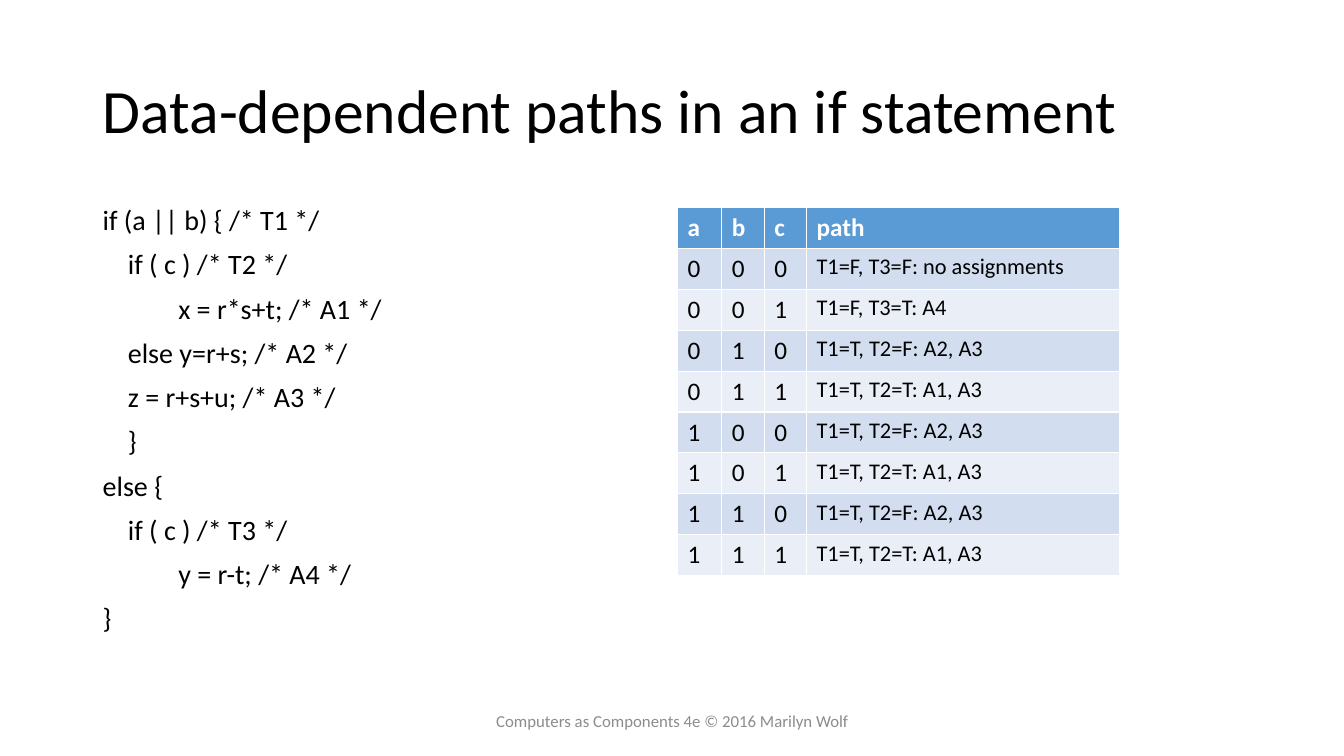
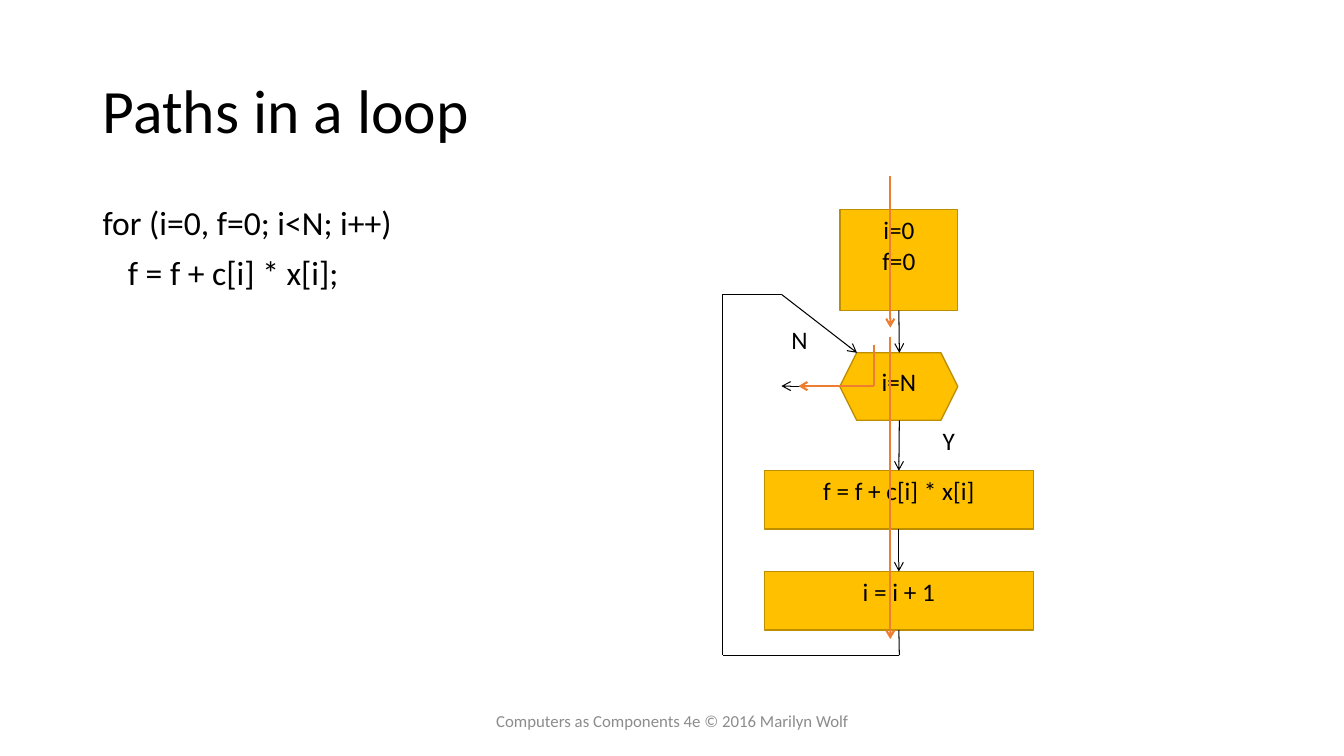
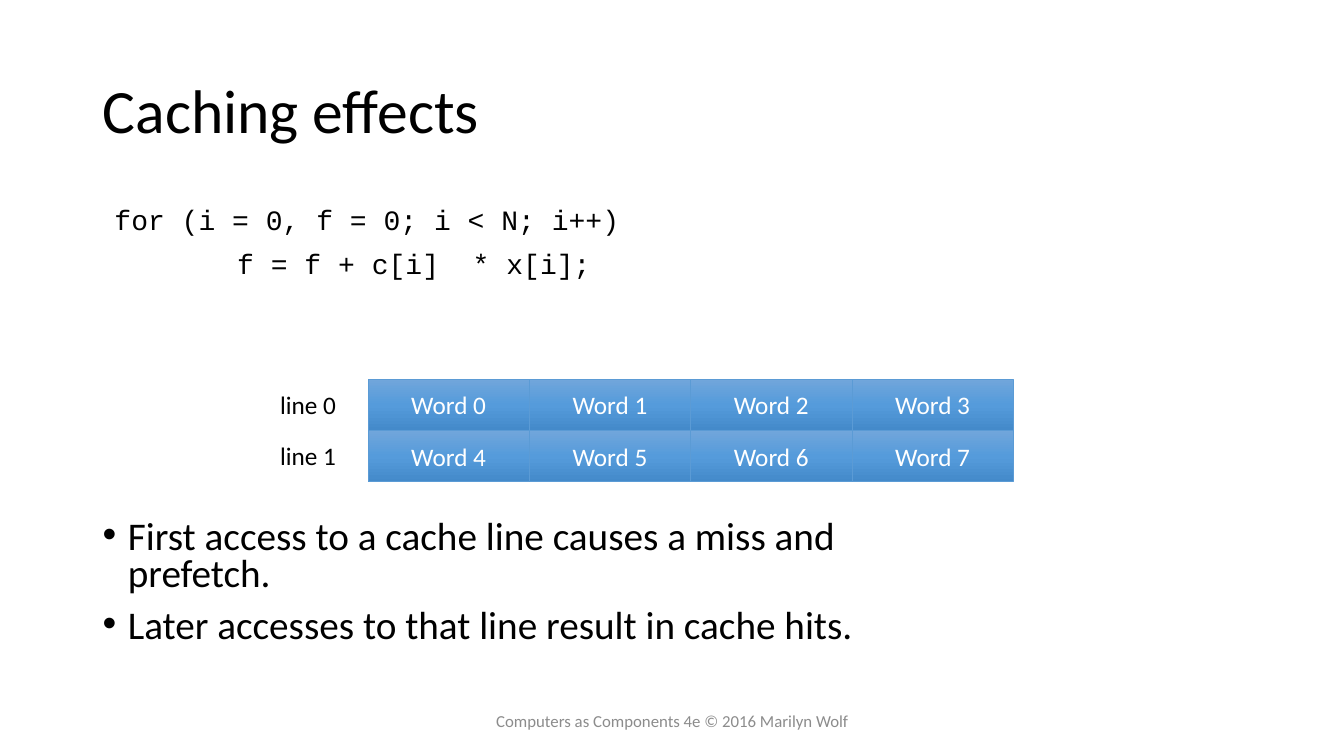
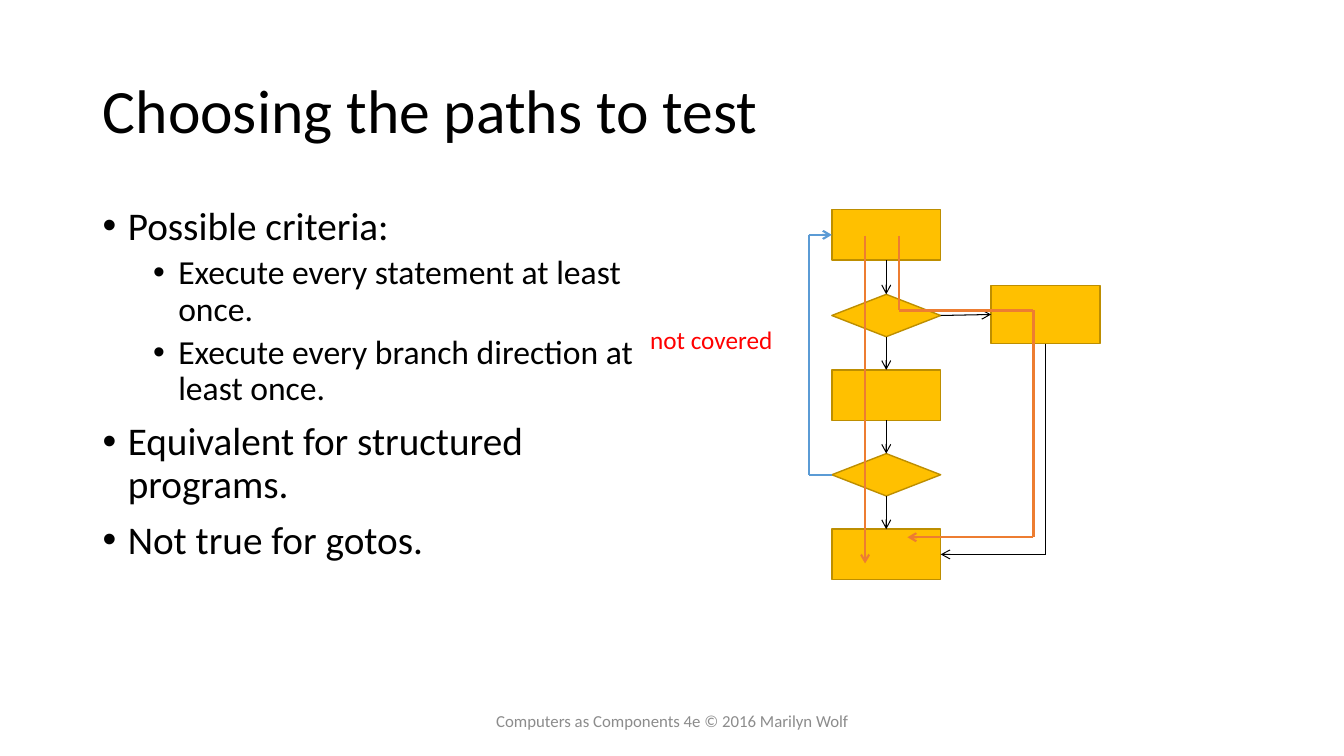
from collections import namedtuple
from copy import deepcopy
from dataclasses import dataclass

from lxml.etree import SubElement
from pptx import Presentation
from pptx.dml.color import RGBColor
from pptx.enum.shapes import MSO_CONNECTOR, MSO_SHAPE
from pptx.enum.text import MSO_ANCHOR, MSO_AUTO_SIZE, PP_ALIGN
from pptx.oxml.ns import qn
from pptx.util import Inches, Pt


@dataclass(frozen=True)
class Theme:
    font: str = "Calibri"
    code_font: str = "Courier New"
    black: str = "000000"
    white: str = "FFFFFF"
    grey: str = "8C8C8C"
    red: str = "FF0000"
    blue: str = "5B9BD5"
    orange: str = "ED7D31"
    box_fill: str = "FFC000"
    box_line: str = "BD8E00"
    bands: tuple = ("EAEFF7", "D2DEEF")
    word_gradient: tuple = ((0, "71A6DB"), (0.5, "559BDB"), (1, "448ACA"))
    title_size: int = 44
    bullet_sizes: tuple = (28, 24)
    loop_code_size: int = 24
    code_size: int = 20
    code_lead_size: int = 14
    label_size: int = 18
    path_size: int = 16
    footer_size: int = 12
    flow_width: float = 0.75
    path_width: float = 1.5


THEME = Theme()
FOOTER = "Computers as Components 4e © 2016 Marilyn Wolf"
BODY_AREA = (0.92, 2, 5.67, 4.76)
TOP, LEFT, BOTTOM, RIGHT = range(4)


class Side(namedtuple("Side", "shape index")):
    """The middle of one side of a shape, to which a connector is joined."""

    @property
    def point(self):
        s = self.shape
        across, down = {TOP: (0.5, 0), LEFT: (0, 0.5),
                        BOTTOM: (0.5, 1), RIGHT: (1, 0.5)}[self.index]
        return (s.left + s.width * across) / Inches(1), (s.top + s.height * down) / Inches(1)


def rgb(value):
    return RGBColor.from_string(value)


def inches(*lengths):
    return [Inches(length) for length in lengths]


def style_run(run, size, color=THEME.black, font=THEME.font, bold=False):
    run.font.size = Pt(size)
    run.font.name = font
    run.font.bold = bold
    run.font.color.rgb = rgb(color)


def write(frame, text, size, align=PP_ALIGN.LEFT, **style):
    frame.text = text
    for paragraph in frame.paragraphs:
        paragraph.alignment = align
        for run in paragraph.runs:
            style_run(run, size, **style)


def add_text(slide, area, text, size, **style):
    box = slide.shapes.add_textbox(*inches(*area))
    box.text_frame.word_wrap = True
    write(box.text_frame, text, size, **style)
    return box.text_frame


def add_label(slide, area, text, **style):
    frame = add_text(slide, area, text, THEME.label_size, **style)
    frame.word_wrap = False
    frame.auto_size = MSO_AUTO_SIZE.SHAPE_TO_FIT_TEXT


def set_indent(paragraph, left, first):
    properties = paragraph._p.get_or_add_pPr()
    properties.set("marL", str(Inches(left)))
    properties.set("indent", str(Inches(first)))
    return properties


def add_code(slide, area, lines, size, hanging=True, **style):
    frame = add_text(slide, area, "\n".join(lines), size, **style)
    for number, paragraph in enumerate(frame.paragraphs):
        if hanging:
            set_indent(paragraph, 0.25, -0.25)
        paragraph.line_spacing = 0.9
        paragraph.space_before = Pt(10 if number else 0)
    return frame


def add_bullets(slide, area, items, line_spacing=0.9):
    """Items are (level, text) pairs."""
    frame = add_text(slide, area, "\n".join(text for _, text in items), THEME.bullet_sizes[0])
    for number, (paragraph, (level, _)) in enumerate(zip(frame.paragraphs, items)):
        paragraph.level = level
        properties = set_indent(paragraph, 0.25 + 0.5 * level, -0.25)
        SubElement(properties, qn("a:buFont"), typeface="Arial")
        SubElement(properties, qn("a:buChar"), char="•")
        paragraph.line_spacing = line_spacing
        paragraph.space_before = Pt((10, 5)[level] if number else 0)
        paragraph.runs[0].font.size = Pt(THEME.bullet_sizes[level])


def add_box(slide, preset, area, line_color, line_width):
    box = slide.shapes.add_shape(preset, *inches(*area))
    box.shadow.inherit = False
    box.line.color.rgb = rgb(line_color)
    box.line.width = Pt(line_width)
    return box


def add_step(slide, preset, area, text=""):
    """One flowchart node."""
    step = add_box(slide, preset, area, THEME.box_line, 1)
    step.fill.solid()
    step.fill.fore_color.rgb = rgb(THEME.box_fill)
    if text:
        step.text_frame.vertical_anchor = MSO_ANCHOR.TOP
        write(step.text_frame, text, THEME.label_size, align=PP_ALIGN.CENTER)
    return step


def add_word(slide, area, text):
    """One word of a cache line."""
    word = add_box(slide, MSO_SHAPE.RECTANGLE, area, THEME.blue, 0.5)
    word.fill.gradient()
    word.fill.gradient_angle = 270
    stop_list = word._element.spPr.find(".//" + qn("a:gsLst"))
    stop_list.append(deepcopy(stop_list[-1]))
    for stop, (position, color) in zip(word.fill.gradient_stops, THEME.word_gradient):
        stop.position = position
        stop.color.rgb = rgb(color)
    word.text_frame.vertical_anchor = MSO_ANCHOR.MIDDLE
    write(word.text_frame, text, THEME.label_size, align=PP_ALIGN.CENTER, color=THEME.white)


def add_route(slide, *stops, color=THEME.black, width=THEME.flow_width):
    """Straight segments through points or sides, with an arrowhead at the end."""
    for start, end in zip(stops, stops[1:]):
        (x1, y1), (x2, y2) = (s.point if isinstance(s, Side) else s for s in (start, end))
        segment = slide.shapes.add_connector(MSO_CONNECTOR.STRAIGHT, *inches(x1, y1, x2, y2))
        if isinstance(start, Side):
            segment.begin_connect(*start)
        if isinstance(end, Side):
            segment.end_connect(*end)
        segment.line.color.rgb = rgb(color)
        segment.line.width = Pt(width)
        if end is stops[-1]:
            SubElement(segment.line._get_or_add_ln(), qn("a:tailEnd"), type="arrow")
        SubElement(segment._element.spPr, qn("a:effectLst"))


def add_test_path(slide, *stops):
    add_route(slide, *stops, color=THEME.orange, width=THEME.path_width)


def add_grid(slide, area, column_widths, rows):
    table = slide.shapes.add_table(len(rows), len(column_widths), *inches(*area)).table
    for column, width in zip(table.columns, column_widths):
        column.width = Inches(width)
    for r, row in enumerate(rows):
        for c, text in enumerate(row):
            cell = table.cell(r, c)
            header = r == 0
            cell.fill.solid()
            cell.fill.fore_color.rgb = rgb(THEME.blue if header else THEME.bands[r % 2])
            last = c == len(row) - 1
            write(cell.text_frame, text,
                  THEME.path_size if last and not header else THEME.label_size,
                  color=THEME.white if header else THEME.black, bold=header)


def add_slide(deck, title):
    slide = deck.slides.add_slide(deck.slide_layouts[5])
    heading = slide.shapes.title
    heading.left, heading.top, heading.width, heading.height = inches(0.92, 0.4, 11.5, 1.45)
    frame = heading.text_frame
    frame.auto_size = MSO_AUTO_SIZE.NONE
    frame.vertical_anchor = MSO_ANCHOR.MIDDLE
    write(frame, title, THEME.title_size)
    frame.paragraphs[0].line_spacing = 0.9
    footer = add_text(slide, (4.42, 6.95, 4.5, 0.4), FOOTER, THEME.footer_size,
                      align=PP_ALIGN.CENTER, color=THEME.grey)
    footer.vertical_anchor = MSO_ANCHOR.MIDDLE
    return slide


def build_if_paths(deck):
    slide = add_slide(deck, "Data-dependent paths in an if statement")
    add_code(slide, BODY_AREA, [
        "if (a || b) { /* T1 */",
        "\tif ( c ) /* T2 */",
        "\t\tx = r*s+t; /* A1 */",
        "\telse y=r+s; /* A2 */",
        "\tz = r+s+u; /* A3 */",
        "\t}",
        "else {",
        "\tif ( c ) /* T3 */",
        "\t\ty = r-t; /* A4 */",
        "}",
    ], THEME.code_size)
    paths = ["T1=F, T3=F: no assignments", "T1=F, T3=T: A4"]
    paths += ["T1=T, T2=F: A2, A3", "T1=T, T2=T: A1, A3"] * 3
    rows = [[*f"{number:03b}", path] for number, path in enumerate(paths)]
    add_grid(slide, (6.72, 2.06, 4.39, 3.65), (0.44, 0.42, 0.42, 3.11),
             [["a", "b", "c", "path"], *rows])


def build_loop_paths(deck):
    slide = add_slide(deck, "Paths in a loop")
    add_code(slide, BODY_AREA, ["for (i=0, f=0; i<N; i++)", "\tf = f + c[i] * x[i];"],
             THEME.loop_code_size)

    start = add_step(slide, MSO_SHAPE.RECTANGLE, (8.33, 2.08, 1.17, 1), "i=0\nf=0")
    add_step(slide, MSO_SHAPE.HEXAGON, (8.33, 3.5, 1.17, 0.67), "i=N")
    update, increment = (
        add_step(slide, MSO_SHAPE.RECTANGLE, (7.58, top, 2.67, 0.58), text)
        for top, text in ((4.67, "f = f + c[i] * x[i]"), (5.67, "i = i + 1")))
    add_label(slide, (7.75, 3.17, 0.36, 0.4), "N")
    add_label(slide, (9.25, 4.17, 0.32, 0.4), "Y")

    add_route(slide, Side(start, BOTTOM), (8.92, 3.5))
    add_route(slide, (8.33, 3.83), (7.75, 3.83))
    add_route(slide, (8.92, 4.17), Side(update, TOP))
    add_route(slide, Side(update, BOTTOM), Side(increment, TOP))
    add_route(slide, Side(increment, BOTTOM), (8.92, 6.5), (7.17, 6.5),
              (7.17, 2.92), (7.75, 2.92), (8.5, 3.5))

    add_test_path(slide, (8.83, 1.75), (8.83, 3.25))
    add_test_path(slide, (8.83, 3.34), (8.83, 6.34))
    add_test_path(slide, (8.67, 3.42), (8.67, 3.83), (7.92, 3.83))


def build_caching(deck):
    slide = add_slide(deck, "Caching effects")
    code = add_code(slide, (0.92, 2, 8.56, 1.5),
                    [" ", "        f = f + c[i]  * x[i];"],
                    THEME.code_size, hanging=False, font=THEME.code_font)
    loop_head = code.paragraphs[0]
    loop_head.runs[0].font.size = Pt(THEME.code_lead_size)
    statement = loop_head.add_run()
    statement.text = "for (i = 0, f = 0; i < N; i++)"
    style_run(statement, THEME.code_size, font=THEME.code_font)

    words_per_line, width, height = 4, 1.6, 0.51
    for line in range(2):
        top = 3.76 + line * height
        add_label(slide, (2.67, top + 0.05, 0.76, 0.4), f"line {line}", align=PP_ALIGN.RIGHT)
        for column in range(words_per_line):
            add_word(slide, (3.65 + column * width, top, width, height),
                     f"Word {line * words_per_line + column}")

    add_bullets(slide, (0.92, 5.11, 8.56, 1.5), [
        (0, "First access to a cache line causes a miss and prefetch."),
        (0, "Later accesses to that line result in cache hits."),
    ], line_spacing=0.8)


def build_path_choice(deck):
    slide = add_slide(deck, "Choosing the paths to test")
    add_bullets(slide, BODY_AREA, [
        (0, "Possible criteria:"),
        (1, "Execute every statement at least once."),
        (1, "Execute every branch direction at least once."),
        (0, "Equivalent for structured programs."),
        (0, "Not true for gotos."),
    ])

    block, test = MSO_SHAPE.RECTANGLE, MSO_SHAPE.DIAMOND
    column = [add_step(slide, preset, (8.25, top, 1.08, height))
              for preset, top, height in ((block, 2.08, 0.5), (test, 2.92, 0.42),
                                          (block, 3.67, 0.5), (test, 4.5, 0.42),
                                          (block, 5.25, 0.5))]
    entry, first_test, _, second_test, finish = column
    branch = add_step(slide, block, (9.83, 2.83, 1.08, 0.58))

    for upper, lower in zip(column, column[1:]):
        add_route(slide, Side(upper, BOTTOM), Side(lower, TOP))
    add_route(slide, Side(first_test, RIGHT), Side(branch, LEFT))
    add_route(slide, Side(branch, BOTTOM), (10.37, 5.5), Side(finish, RIGHT))

    add_test_path(slide, (8.58, 2.34), (8.58, 5.59))
    add_test_path(slide, (8.92, 2.34), (8.92, 3.08), (10.25, 3.08), (10.25, 5.33), (9, 5.33))
    add_route(slide, Side(second_test, LEFT), (8.02, 4.71), (8.02, 2.33), Side(entry, LEFT),
              color=THEME.blue, width=THEME.path_width)
    add_label(slide, (6.34, 3.17, 1.43, 0.4), "not covered",
              align=PP_ALIGN.CENTER, color=THEME.red)


def main():
    deck = Presentation()
    deck.slide_width, deck.slide_height = inches(13.33, 7.5)
    for build in (build_if_paths, build_loop_paths, build_caching, build_path_choice):
        build(deck)
    deck.save("out.pptx")


if __name__ == "__main__":
    main()
